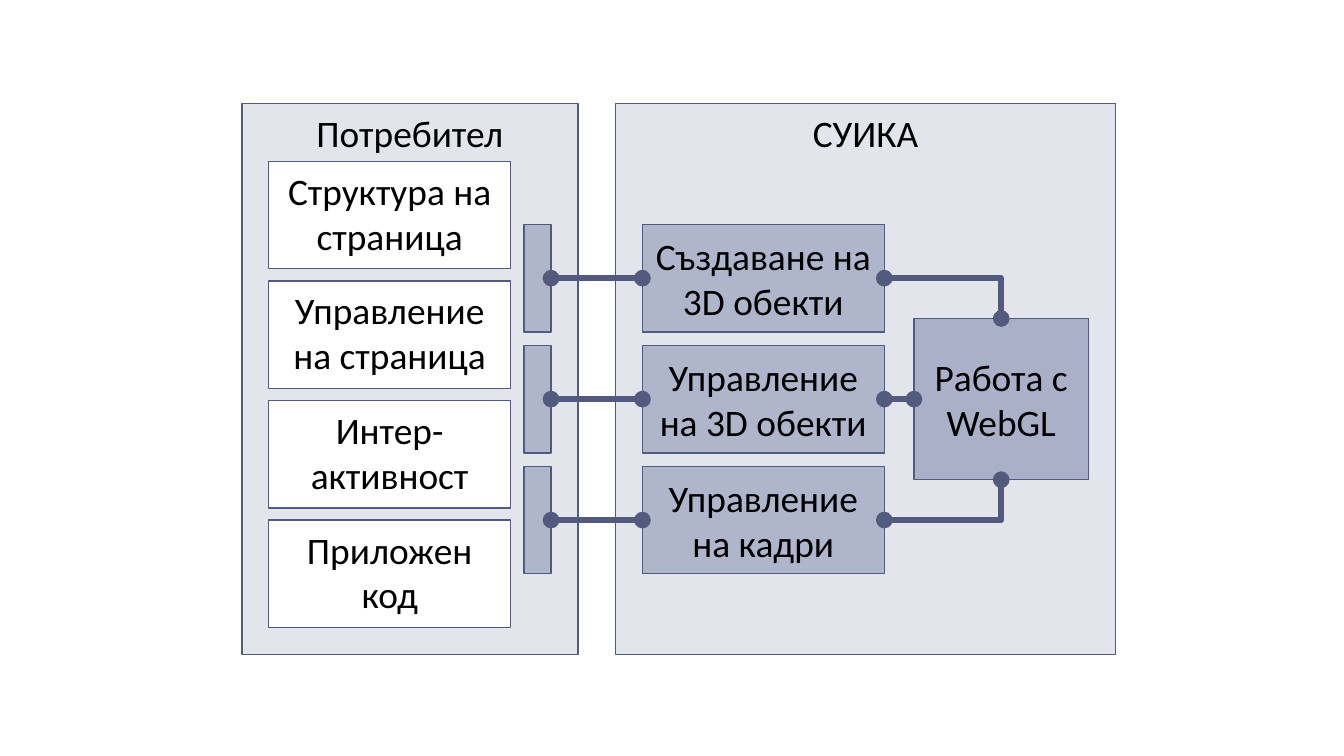
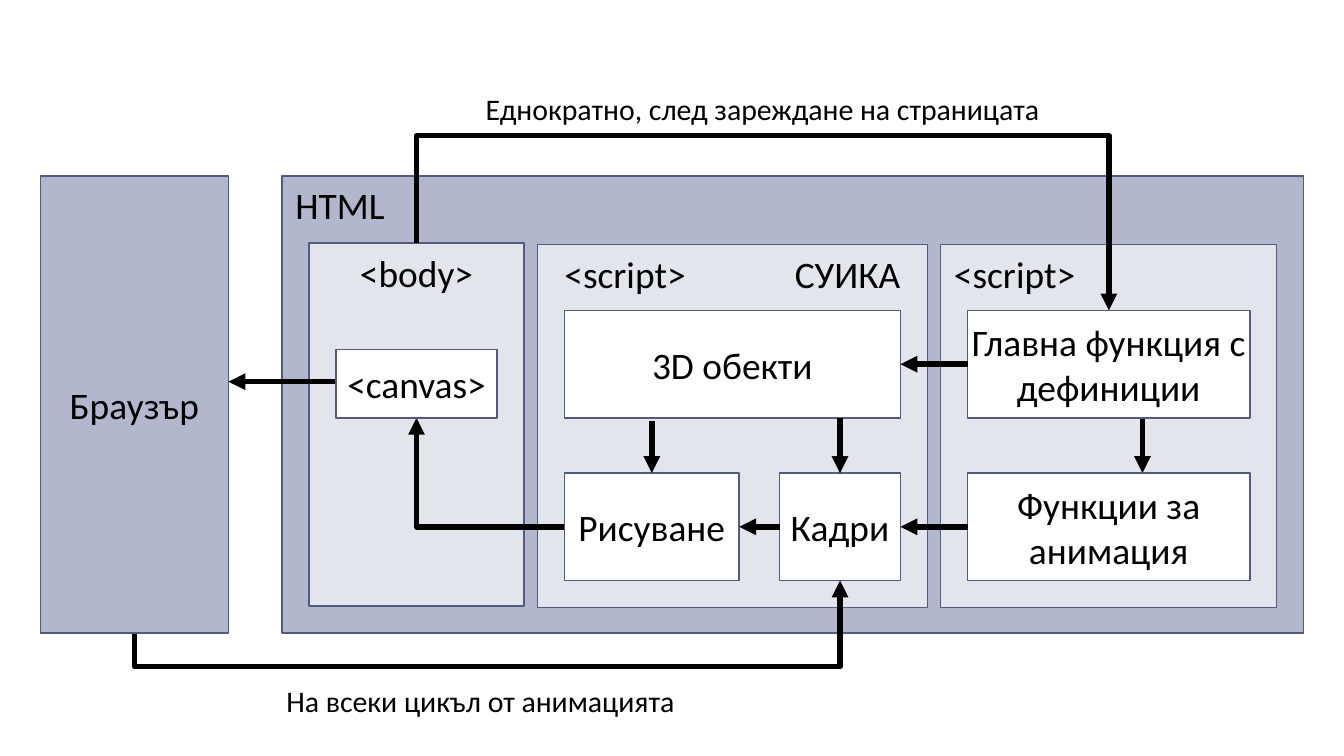
from lxml import etree
from pptx import Presentation
from pptx.dml.color import RGBColor
from pptx.enum.shapes import MSO_CONNECTOR, MSO_SHAPE
from pptx.enum.text import MSO_ANCHOR, PP_ALIGN
from pptx.oxml.ns import qn
from pptx.util import Emu, Pt

RECT, CHEVRON = MSO_SHAPE.RECTANGLE, MSO_SHAPE.CHEVRON
STRAIGHT, ELBOW = MSO_CONNECTOR.STRAIGHT, MSO_CONNECTOR.ELBOW
TOP, MIDDLE = MSO_ANCHOR.TOP, MSO_ANCHOR.MIDDLE
LEFT, CENTER = PP_ALIGN.LEFT, PP_ALIGN.CENTER
N, W, S, E = range(4)

EMU_PER_PX = 9144
FONT = "Calibri"
INK, EDGE = "000000", "525B7E"
WHITE, PALE, BLUE = "FFFFFF", "E3E5ED", "AAB0C8"
DOTTED = {"color": EDGE, "head": "oval", "tail": "oval"}
ARROW = {"color": INK, "tail": "triangle"}


def px(n):
    return Emu(round(n * EMU_PER_PX))


def rgb(value):
    return RGBColor.from_string(value)


def put_text(sp, text, size=20, color=INK, align=CENTER, anchor=TOP,
             left=10, right=10, tab=None):
    tf = sp.text_frame
    tf.word_wrap = True
    tf.vertical_anchor = anchor
    tf.margin_left, tf.margin_right = px(left), px(right)
    tf.margin_top = tf.margin_bottom = px(5)
    p = tf.paragraphs[0]
    p.alignment = align
    if tab:
        tabs = etree.SubElement(p._p.get_or_add_pPr(), qn("a:tabLst"))
        etree.SubElement(tabs, qn("a:tab"), pos=str(px(tab)), algn="r")
    r = p.add_run()
    r.text = text
    r.font.name, r.font.size = FONT, Pt(size)
    r.font.color.rgb = rgb(color)


class Diagram:
    def __init__(self, prs):
        self.prs = prs
        self.s = None

    def new_slide(self):
        self.s = self.prs.slides.add_slide(self.prs.slide_layouts[6])

    def box(self, x, y, w, h, fill, text=None, shape=RECT, alpha=None, **fmt):
        sp = self.s.shapes.add_shape(shape, px(x), px(y), px(w), px(h))
        sp.shadow.inherit = False
        sp.fill.solid()
        sp.fill.fore_color.rgb = rgb(fill)
        if alpha:
            clr = sp._element.spPr.find(qn("a:solidFill")).find(qn("a:srgbClr"))
            etree.SubElement(clr, qn("a:alpha"), val=str(alpha * 1000))
        sp.line.color.rgb = rgb(EDGE)
        sp.line.width = Pt(0.75)
        if text:
            put_text(sp, text, **fmt)
        return sp

    def glass(self, x, y, w, h, text=None, **fmt):
        return self.box(x, y, w, h, BLUE, text, alpha=90, **fmt)

    def step(self, x, y, w, h, text):
        return self.box(x, y, w, h, WHITE, text, anchor=MIDDLE, left=0, right=0)

    def label(self, x, y, w, h, text):
        sp = self.s.shapes.add_textbox(px(x), px(y), px(w), px(h))
        put_text(sp, text, size=16, anchor=MIDDLE)

    def connector(self, kind, start, end, color, head=None, tail=None):
        c = self.s.shapes.add_connector(kind, *map(px, start + end))
        c.line.color.rgb = rgb(color)
        c.line.width = Pt(3)
        spPr = c._element.spPr
        ln = spPr.find(qn("a:ln"))
        for tag, end_type in (("a:headEnd", head), ("a:tailEnd", tail)):
            if end_type:
                etree.SubElement(ln, qn(tag), type=end_type)
        etree.SubElement(spPr, qn("a:effectLst"))
        return c

    def line(self, start, end, **style):
        points = [e if isinstance(e[0], int) else (0, 0) for e in (start, end)]
        c = self.connector(STRAIGHT, *points, **style)
        for e, join in ((start, c.begin_connect), (end, c.end_connect)):
            if not isinstance(e[0], int):
                join(*e)

    def corner(self, start, end, **style):
        c = self.connector(ELBOW, start, end, **style)
        c._element.spPr.find(qn("a:prstGeom")).set("prst", "bentConnector2")

    def detour(self, start, end, via_y, **style):
        (x1, y1), (x2, y2) = start, end
        w, h = abs(y2 - y1), x2 - x1
        left, top = (x1 + x2 - w) / 2, (y1 + y2 - h) / 2
        c = self.connector(ELBOW, (left, top), (left + w, top + h), **style)
        spPr = c._element.spPr
        xfrm = spPr.find(qn("a:xfrm"))
        down = y2 > y1
        xfrm.set("rot", str((270 if down else 90) * 60000))
        xfrm.set("flipH", "1")
        if not down:
            xfrm.set("flipV", "1")
        adj = round((via_y - y1) / (y2 - y1) * 100000)
        av = spPr.find(qn("a:prstGeom")).find(qn("a:avLst"))
        etree.SubElement(av, qn("a:gd"), name="adj1", fmla=f"val {adj}")


def build_modules(d):
    d.new_slide()
    d.box(180, 77, 250, 410, PALE, "Потребител")
    d.box(458, 77, 372, 410, PALE, "СУИКА")
    webgl = d.box(680, 237, 130, 120, BLUE, "Работа с WebGL",
                  shape=CHEVRON, anchor=MIDDLE)
    webgl.adjustments[0] = 0

    user_parts = ("Структура на страница", "Управление на страница",
                  "Интер-активност", "Приложен код")
    for i, text in enumerate(user_parts):
        d.box(200, 120 + 89 * i, 180, 80, WHITE, text)

    names = ("Създаване на 3D обекти", "Управление на 3D обекти",
             "Управление на кадри")
    rows = [167 + 90 * i for i in range(len(names))]
    modules = [d.glass(478, y, 180, 80, text, anchor=MIDDLE)
               for y, text in zip(rows, names)]
    ports = [d.glass(390, y, 20, 80) for y in rows]
    for port, module in zip(ports, modules):
        d.line((port, E), (module, W), **DOTTED)
    d.line((modules[1], E), (webgl, W), **DOTTED)
    d.corner((658, rows[0] + 40), (745, 237), **DOTTED)
    d.corner((658, rows[2] + 40), (745, 357), **DOTTED)


def build_flow(d):
    d.new_slide()
    d.glass(210, 131, 760, 340, "HTML", align=LEFT)
    d.box(700, 182, 250, 270, PALE, "<script>", align=LEFT)
    d.box(230, 181, 160, 270, PALE, "<body>")
    d.box(400, 182, 290, 270, PALE, "<script>\tСУИКА",
          align=LEFT, left=20, tab=250)

    objects = d.step(420, 231, 250, 80, "3D обекти")
    drawing = d.step(420, 352, 130, 80, "Рисуване")
    d.detour((310, 181), (825, 231), 101, **ARROW)
    d.corner((420, 392), (310, 311), **ARROW)
    d.line((850, 312), (850, 352), **ARROW)
    main_function = d.step(720, 231, 210, 80, "Главна функция с дефиниции")
    d.label(310, 61, 515, 40, "Еднократно, след зареждане на страницата")
    d.line((main_function, W), (objects, E), **ARROW)
    d.line((485, 313), (drawing, N), **ARROW)
    d.detour((100, 471), (625, 432), 496, **ARROW)
    d.label(100, 501, 515, 40, "На всеки цикъл от анимацията")
    d.glass(30, 131, 140, 340, "Браузър", anchor=MIDDLE)
    frames = d.step(580, 352, 90, 80, "Кадри")
    animation = d.step(720, 352, 210, 80, "Функции за анимация")
    d.line((625, 311), (frames, N), **ARROW)
    d.line((frames, W), (drawing, E), **ARROW)
    d.line((animation, W), (frames, E), **ARROW)
    d.line((263, 284), (170, 284), **ARROW)
    d.step(250, 260, 120, 51, "<canvas>")


def main():
    prs = Presentation()
    prs.slide_width = px(1000)
    prs.slide_height = prs.slide_width * 9 // 16
    d = Diagram(prs)
    build_modules(d)
    build_flow(d)
    prs.save("out.pptx")


if __name__ == "__main__":
    main()
